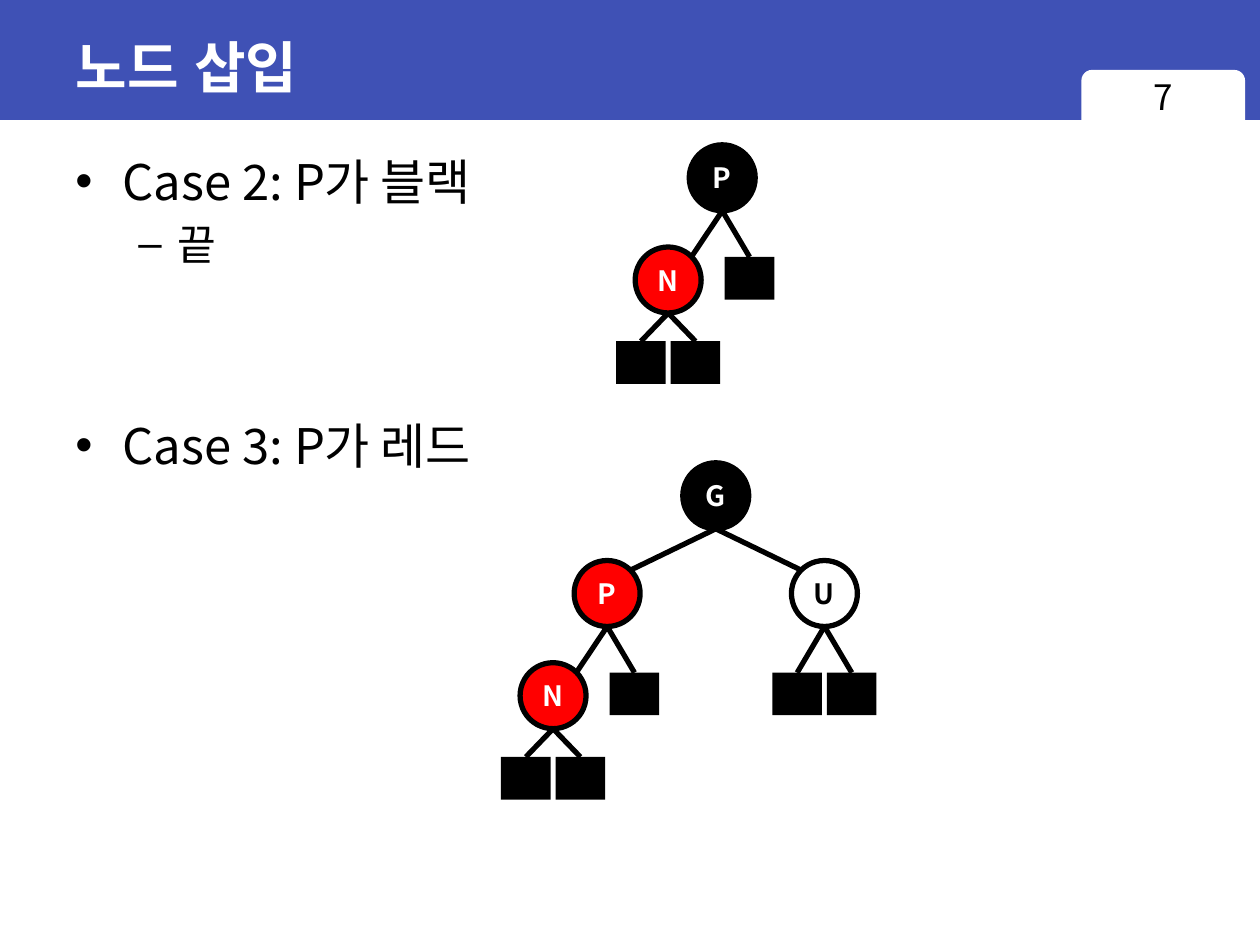
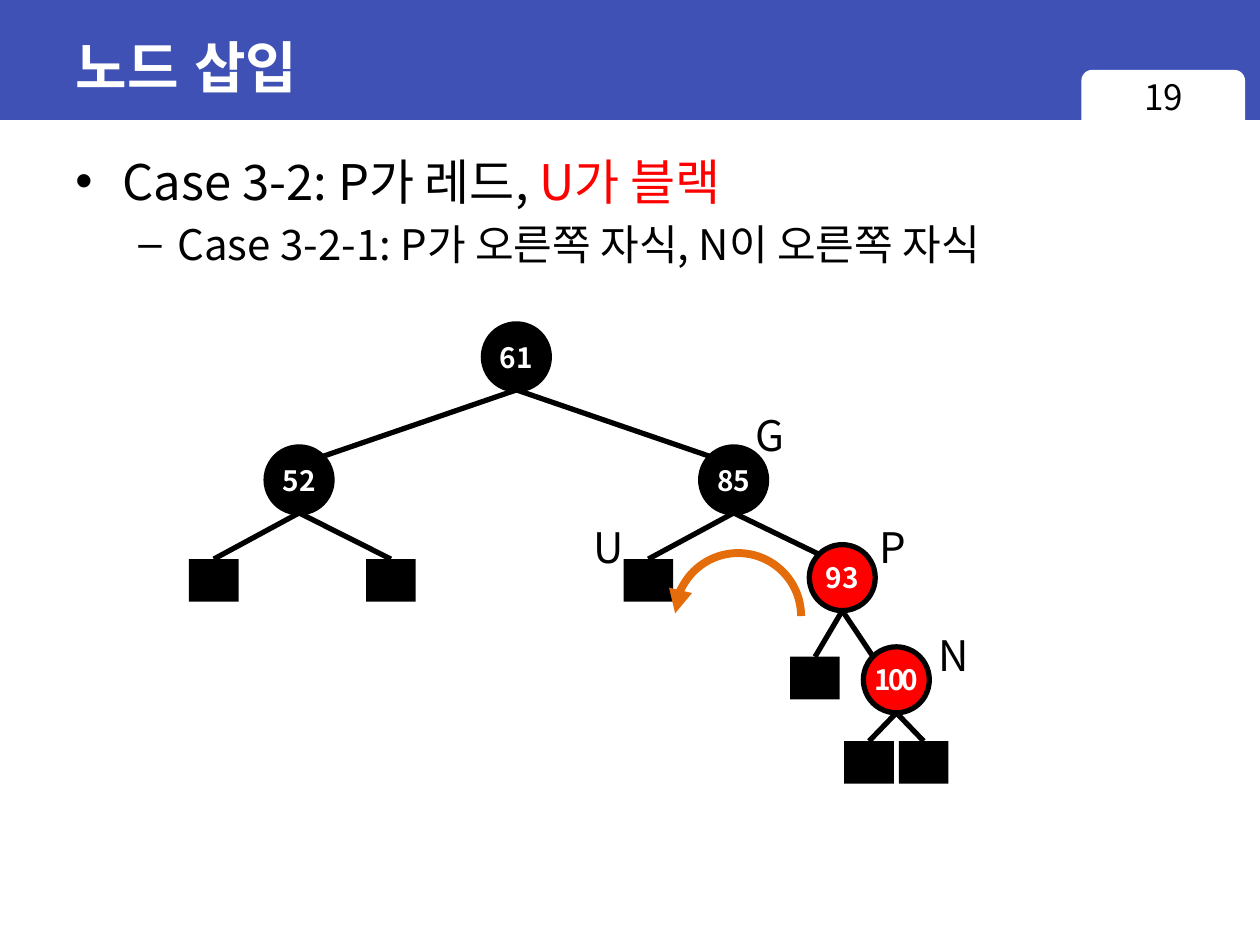
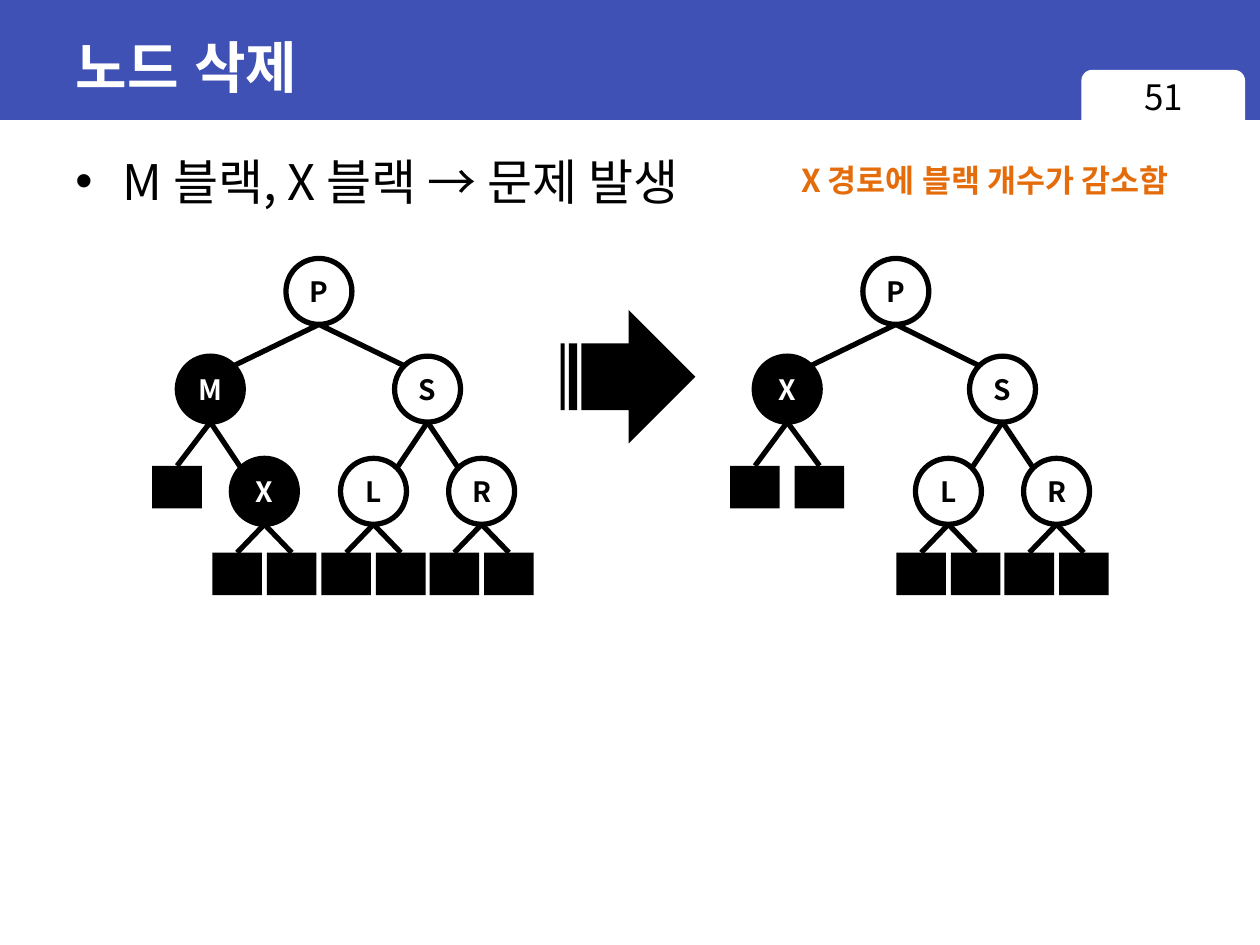
from lxml.etree import SubElement
from pptx import Presentation
from pptx.dml.color import RGBColor
from pptx.enum.shapes import MSO_CONNECTOR, MSO_SHAPE
from pptx.enum.text import MSO_ANCHOR, MSO_AUTO_SIZE, PP_ALIGN
from pptx.oxml.ns import qn
from pptx.util import Cm, Pt

BLUE = RGBColor(0x3F, 0x51, 0xB5)
WHITE = RGBColor(0xFF, 0xFF, 0xFF)
BLACK = RGBColor(0x00, 0x00, 0x00)
RED = RGBColor(0xFF, 0x00, 0x00)
ORANGE = RGBColor(0xE4, 0x6C, 0x0A)
TITLE_FONT = "Arial"
BODY_FONT = "Noto Sans CJK KR"

# Tree measures in cm
NODE = 1.33
LEAF_WIDTH, LEAF_HEIGHT = 1.0, 0.86
HALF, STEP, WIDE, ROOT_STEP = 0.55, 1.09, 2.19, 4.38
LAST_DROP, NODE_DROP, LEAF_DROP = 1.9, 2.06, 2.26
WIDE_DROP, ROOT_DROP = 1.97, 2.48

# Bullet levels: size, left margin and hanging indent in cm, sign
LEVELS = [(28, 0.95, 0.95, "•"), (24, 2.06, 0.79, "–")]


def node(label, fill, *children, spacing=0):
    """A circle; each child is (dx, dy, node), where None stands for a leaf."""
    return {"label": label, "fill": fill, "children": children, "spacing": spacing}


def leaves(left=HALF, right=HALF, drop=LAST_DROP):
    return (-left, drop, None), (right, drop, None)


def sibling_tree():
    return node("S", WHITE,
                (-STEP, NODE_DROP, node("L", WHITE, *leaves())),
                (STEP, NODE_DROP, node("R", WHITE, *leaves(), spacing=-1.5)))


def inserted_node():
    return -STEP, NODE_DROP, node("N", RED, *leaves())


# Trees
black_parent = node("P", BLACK, inserted_node(), (HALF, LEAF_DROP, None))
red_parent = node(
    "G", BLACK,
    (-WIDE, WIDE_DROP, node("P", RED, inserted_node(), (HALF, LEAF_DROP, None))),
    (WIDE, WIDE_DROP, node("U", WHITE, *leaves(drop=LEAF_DROP))))
right_right = node(
    "61", BLACK,
    (-ROOT_STEP, ROOT_DROP, node("52", BLACK, *leaves(1.72, 1.85, LEAF_DROP))),
    (ROOT_STEP, ROOT_DROP, node(
        "85", BLACK,
        (-1.72, LEAF_DROP, None),
        (WIDE, WIDE_DROP, node(
            "93", RED,
            (-HALF, LEAF_DROP, None),
            (STEP, NODE_DROP, node("100", RED, *leaves(), spacing=-1.5)))))))
before_removal = node(
    "P", WHITE,
    (-WIDE, WIDE_DROP, node("M", BLACK, (-0.67, 2.21, None),
                            (STEP, NODE_DROP, node("X", BLACK, *leaves())))),
    (WIDE, WIDE_DROP, sibling_tree()))
after_removal = node(
    "P", WHITE,
    (-WIDE, WIDE_DROP, node("X", BLACK, *leaves(0.65, 0.65, 2.21))),
    (2.15, WIDE_DROP, sibling_tree()))

# Slides: bullets are (level, space before in pt, runs), trees are (centre, top, root),
# labels are (text, left, top, width, height, size, colour, bold)
SLIDES = [
    {"title": "노드 삽입", "number": "7",
     "bullets": [(0, 0, [("Case 2: P가 블랙", BLACK)]),
                 (1, 4.8, [("끝", BLACK)]),
                 (0, 84, [("Case 3: P가 레드", BLACK)])],
     "trees": [(14.56, 2.92, black_parent), (14.43, 9.33, red_parent)]},
    {"title": "노드 삽입", "number": "19",
     "bullets": [(0, 0, [("Case 3-2: P가 레드, ", BLACK), ("U가 블랙", RED)]),
                 (1, 4.8, [("Case 3-2-1: P가 오른쪽 자식, N이 오른쪽 자식", BLACK)])],
     "trees": [(10.41, 6.53, right_right)],
     "labels": [("N", 18.67, 12.57, 1.17, 1.27, 24, BLACK, False),
                ("P", 17.48, 10.39, 0.99, 1.27, 24, BLACK, False),
                ("U", 11.71, 10.39, 1.12, 1.27, 24, BLACK, False),
                ("G", 14.99, 8.13, 1.12, 1.27, 24, BLACK, False)],
     "rotation": (13.61, 11.15, 2.54, 2.54)},
    {"title": "노드 삭제", "number": "51",
     "bullets": [(0, 0, [("M 블랙, X 블랙 → 문제 발생", BLACK)])],
     "trees": [(6.43, 5.21, before_removal), (18.06, 5.21, after_removal)],
     "labels": [("X 경로에 블랙 개수가 감소함", 15.9, 3.12, 8.89, 1.02, 18, ORANGE, True)],
     "big_arrow": (11.3, 6.25, 2.72, 2.69)},
]


def style_run(run, size, colour, bold=False, name=BODY_FONT):
    font = run.font
    font.size, font.bold, font.name = Pt(size), bold, name
    font.color.rgb = colour
    SubElement(run.font._element, qn("a:ea")).set("typeface", name)


def add_shape(slide, kind, left, top, width, height, fill=None, line=None, weight=3):
    shape = slide.shapes.add_shape(kind, Cm(left), Cm(top), Cm(width), Cm(height))
    shape.shadow.inherit = False
    if fill is None:
        shape.fill.background()
    else:
        shape.fill.solid()
        shape.fill.fore_color.rgb = fill
    if line is None:
        shape.line.fill.background()
    else:
        shape.line.color.rgb = line
        shape.line.width = Pt(weight)
    return shape


def add_label(slide, text, left, top, width, height, size, colour, bold,
              alignment=PP_ALIGN.LEFT):
    box = slide.shapes.add_textbox(Cm(left), Cm(top), Cm(width), Cm(height))
    box.text_frame.word_wrap = False
    box.text_frame.text = text
    paragraph = box.text_frame.paragraphs[0]
    paragraph.alignment = alignment
    style_run(paragraph.runs[0], size, colour, bold)


def add_frame(slide, title_text, number):
    """Band, page tab, title and page number."""
    add_shape(slide, MSO_SHAPE.RECTANGLE, 0, 0, 25.4, 2.42, BLUE)
    add_shape(slide, MSO_SHAPE.ROUNDED_RECTANGLE, 21.8, 1.41, 3.3, 1.3, WHITE)
    title = slide.shapes.title
    slide.shapes.element.append(title.element)  # in front of the band
    title.left, title.top, title.width, title.height = Cm(1.27), Cm(0.28), Cm(22.86), Cm(2.11)
    frame = title.text_frame
    frame.text = title_text
    frame.vertical_anchor = MSO_ANCHOR.MIDDLE
    frame.auto_size = MSO_AUTO_SIZE.NONE
    frame.paragraphs[0].alignment = PP_ALIGN.LEFT
    style_run(frame.paragraphs[0].runs[0], 32, WHITE, True, TITLE_FONT)
    add_label(slide, number, 21.8, 1.4, 3.32, 1.32, 20, BLACK, False, PP_ALIGN.CENTER)


def add_bullets(slide, bullets):
    box = slide.shapes.add_textbox(Cm(1.27), Cm(2.92), Cm(23.83), Cm(15.6))
    frame = box.text_frame
    frame.word_wrap = True
    for index, (level, space_before, runs) in enumerate(bullets):
        paragraph = frame.add_paragraph() if index else frame.paragraphs[0]
        size, margin, hanging, sign = LEVELS[level]
        properties = paragraph._p.get_or_add_pPr()
        properties.set("marL", str(Cm(margin)))
        properties.set("indent", str(-Cm(hanging)))
        SubElement(properties, qn("a:buFont")).set("typeface", "Arial")
        SubElement(properties, qn("a:buChar")).set("char", sign)
        paragraph.level = level
        paragraph.space_before = Pt(space_before)
        for text, colour in runs:
            run = paragraph.add_run()
            run.text = text
            style_run(run, size, colour)


def add_branch(slide, start, end):
    branch = slide.shapes.add_connector(
        MSO_CONNECTOR.STRAIGHT, *(Cm(length) for length in start + end))
    branch.line.color.rgb = BLACK
    branch.line.width = Pt(3)
    SubElement(branch._element.spPr, qn("a:effectLst"))


def add_node(slide, centre, top, tree):
    circle = add_shape(slide, MSO_SHAPE.OVAL, centre - NODE / 2, top, NODE, NODE,
                       tree["fill"], BLACK)
    frame = circle.text_frame
    frame.margin_left = frame.margin_right = 0
    frame.vertical_anchor = MSO_ANCHOR.MIDDLE
    frame.text = tree["label"]
    paragraph = frame.paragraphs[0]
    paragraph.alignment = PP_ALIGN.CENTER
    run = paragraph.runs[0]
    style_run(run, 16, BLACK if tree["fill"] == WHITE else WHITE, True)
    if tree["spacing"]:
        run.font._element.set("spc", str(round(tree["spacing"] * 100)))


def add_tree(slide, centre, top, tree):
    """Draw a leaf, or a node followed by its branches and subtrees."""
    if tree is None:
        add_shape(slide, MSO_SHAPE.RECTANGLE, centre - LEAF_WIDTH / 2, top,
                  LEAF_WIDTH, LEAF_HEIGHT, BLACK)
        return
    add_node(slide, centre, top, tree)
    diagonal = NODE / 2 * 0.71
    for dx, dy, child in tree["children"]:
        x, y = centre + dx, top + dy
        add_tree(slide, x, y, child)
        if child is None:
            end = (x, y)
        else:  # meet the circle on its upper corner facing the parent
            end = (x - diagonal if dx > 0 else x + diagonal, y + NODE / 2 - diagonal)
        add_branch(slide, (centre, top + NODE), end)


def add_rotation(slide, area):
    arc = add_shape(slide, MSO_SHAPE.ARC, *area, line=ORANGE, weight=4.5)
    arc.adjustments[0] = 109.46
    arc.adjustments[1] = 0
    SubElement(arc.line._get_or_add_ln(), qn("a:headEnd")).set("type", "triangle")


def main():
    presentation = Presentation()
    presentation.slide_width, presentation.slide_height = Cm(25.4), Cm(19.05)
    for content in SLIDES:
        slide = presentation.slides.add_slide(presentation.slide_layouts[5])
        add_frame(slide, content["title"], content["number"])
        add_bullets(slide, content["bullets"])
        for centre, top, tree in content["trees"]:
            add_tree(slide, centre, top, tree)
        for label in content.get("labels", []):
            add_label(slide, *label)
        if "rotation" in content:
            add_rotation(slide, content["rotation"])
        if "big_arrow" in content:
            add_shape(slide, MSO_SHAPE.STRIPED_RIGHT_ARROW, *content["big_arrow"], BLACK)
    presentation.save("out.pptx")


if __name__ == "__main__":
    main()
